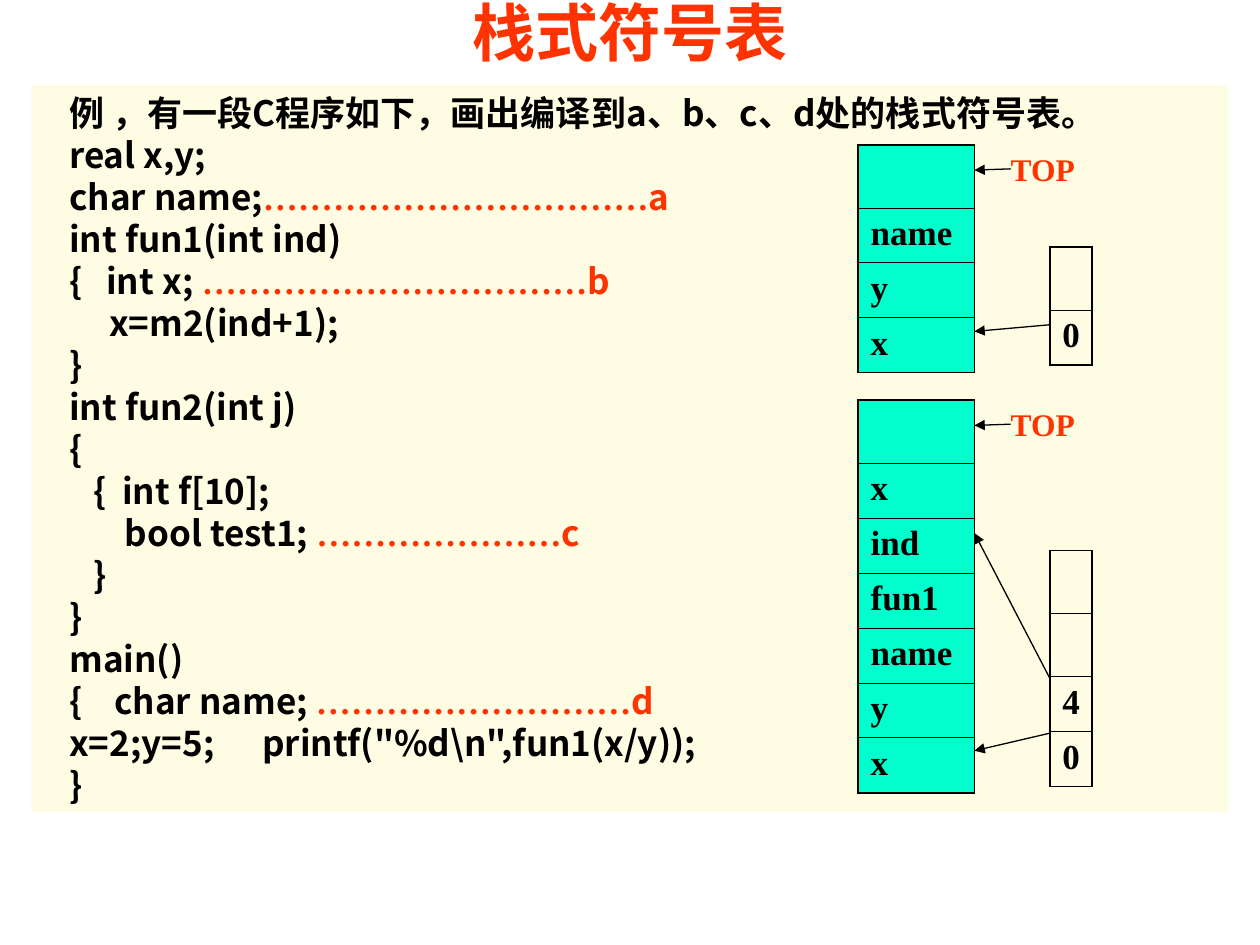
from lxml.etree import SubElement
from pptx import Presentation
from pptx.dml.color import RGBColor
from pptx.enum.shapes import MSO_CONNECTOR, MSO_SHAPE
from pptx.enum.text import MSO_ANCHOR, PP_ALIGN
from pptx.oxml.ns import qn
from pptx.util import Pt

BLACK = RGBColor(0x00, 0x00, 0x00)
RED = RGBColor(0xFF, 0x33, 0x00)
CREAM = RGBColor(0xFE, 0xFD, 0xE3)
TEAL = RGBColor(0x00, 0xFF, 0xCC)
SANS, SERIF = "Noto Sans CJK SC", "Times New Roman"

# Code lines: text, number of ellipses, marker letter
CODE = [
    ("例 ，有一段C程序如下，画出编译到a、b、c、d处的栈式符号表。", 0, ""),
    ("real x,y;", 0, ""),
    ("char name;", 11, "a"),
    ("int fun1(int ind)", 0, ""),
    ("{   int x; ", 11, "b"),
    ("     x=m2(ind+1);", 0, ""),
    ("}", 0, ""),
    ("int fun2(int j)", 0, ""),
    ("{", 0, ""),
    ("   {  int f[10];", 0, ""),
    ("       bool test1; ", 7, "c"),
    ("   } ", 0, ""),
    ("}", 0, ""),
    ("main()", 0, ""),
    ("{    char name; ", 9, "d"),
    ('x=2;y=5;      printf("%d\\n",fun1(x/y));', 0, ""),
    ("}", 0, ""),
]


class Board:
    """Style and current slide; all lengths are in points."""

    EMPTY_ROW, ROW = 36, 31.4
    OUTER, INNER = 1.08, 0.45

    def __init__(self, slide):
        self.s = slide

    def font(self, font, name, size, color):
        font.name, font.size, font.bold = name, Pt(size), True
        font.color.rgb = color

    def east_asian(self, p, name):
        props = p._p.pPr.find(qn("a:defRPr"))
        SubElement(props, qn("a:ea")).set("typeface", name)

    def margins(self, frame, x, y):
        frame.margin_left = frame.margin_right = Pt(x)
        frame.margin_top = frame.margin_bottom = Pt(y)

    def label(self, text, x, y, w, h, name, size, align=PP_ALIGN.LEFT,
              anchor=MSO_ANCHOR.TOP):
        tf = self.s.shapes.add_textbox(Pt(x), Pt(y), Pt(w), Pt(h)).text_frame
        tf.word_wrap, tf.vertical_anchor = True, anchor
        self.margins(tf, 0, 0)
        p = tf.paragraphs[0]
        p.text, p.alignment = text, align
        self.font(p.font, name, size, RED)
        self.east_asian(p, name)

    def code(self, lines, x, y, w, h):
        sp = self.s.shapes.add_shape(MSO_SHAPE.RECTANGLE, Pt(x), Pt(y), Pt(w), Pt(h))
        sp.shadow.inherit = False
        sp.fill.solid()
        sp.fill.fore_color.rgb = CREAM
        sp.line.fill.background()
        tf = sp.text_frame
        tf.word_wrap, tf.vertical_anchor = True, MSO_ANCHOR.TOP
        self.margins(tf, 0, 3.6)
        for i, (text, dots, marker) in enumerate(lines):
            p = tf.paragraphs[0] if i == 0 else tf.add_paragraph()
            p.alignment, p.line_spacing = PP_ALIGN.LEFT, Pt(24)
            self.font(p.font, SANS, 20, BLACK)
            self.east_asian(p, SANS)
            p._p.pPr.set("marL", str(Pt(57.6)))
            p._p.pPr.set("indent", str(Pt(-36)))
            p.add_run().text = text
            if marker:
                for part, name in (("…" * dots, SERIF), (marker, SANS)):
                    r = p.add_run()
                    r.text = part
                    self.font(r.font, name, 20, RED)

    def border(self, cell, side, width):
        ln = SubElement(cell._tc.get_or_add_tcPr(), qn(f"a:ln{side}"), w=str(Pt(width)))
        SubElement(SubElement(ln, qn("a:solidFill")), qn("a:srgbClr"), val=str(BLACK))

    def stack(self, entries, x, y, w, fill):
        heights = [self.ROW if e else self.EMPTY_ROW for e in entries]
        table = self.s.shapes.add_table(
            len(entries), 1, Pt(x), Pt(y), Pt(w), Pt(sum(heights))).table
        table.first_row = table.horz_banding = False
        table.columns[0].width = Pt(w)
        last = len(entries) - 1
        for i, (entry, height) in enumerate(zip(entries, heights)):
            table.rows[i].height = Pt(height)
            cell = table.cell(i, 0)
            self.margins(cell, 7.2, 3.6)
            p = cell.text_frame.paragraphs[0]
            p.text, p.space_before = entry, Pt(5)
            self.font(p.font, SERIF, 20, BLACK)
            # Borders come before the fill in the cell properties
            for side, outer in (("L", True), ("R", True), ("T", i == 0), ("B", i == last)):
                self.border(cell, side, self.OUTER if outer else self.INNER)
            cell.fill.solid()
            cell.fill.fore_color.rgb = fill

    def arrow(self, x1, y1, x2, y2):
        c = self.s.shapes.add_connector(
            MSO_CONNECTOR.STRAIGHT, Pt(x1), Pt(y1), Pt(x2), Pt(y2))
        c.line.color.rgb, c.line.width = BLACK, Pt(0.75)
        SubElement(c.line._get_or_add_ln(), qn("a:tailEnd"), type="triangle")
        SubElement(c._element.spPr, qn("a:effectLst"))

    def top_pointer(self, y):
        self.label("TOP", INDEX_TOP_X, y + 3, 54, 21.6, SERIF, 18)
        self.arrow(INDEX_TOP_X, y + 13.7, STACK_RIGHT, y + 14.4)


# Columns of the diagrams
STACK_X, STACK_W = 490.3, 66.5
STACK_RIGHT = STACK_X + STACK_W
INDEX_X, INDEX_W = 599.8, 24.1
INDEX_TOP_X = 577.5

# Diagrams: symbol stack, its top, block index, its top, arrows (start y, end y)
DIAGRAMS = [
    (["", "name", "y", "x"], 82.8, ["", "0"], 141.1, [(185.6, 189.4)]),
    (["", "x", "ind", "fun1", "name", "y", "x"], 228.7,
     ["", "", "4", "0"], 314.6, [(419, 429), (387.4, 304.6)]),
]


def main():
    prs = Presentation()
    prs.slide_width, prs.slide_height = Pt(720), Pt(540)
    board = Board(prs.slides.add_slide(prs.slide_layouts[6]))

    # Title and program
    board.label("栈式符号表", 54, 0, 612, 36, SANS, 36, PP_ALIGN.CENTER, MSO_ANCHOR.MIDDLE)
    board.code(CODE, 18, 48.75, 684, 415.2)

    # Stacks with their block indexes
    for symbols, stack_y, blocks, index_y, arrows in DIAGRAMS:
        board.stack(symbols, STACK_X, stack_y, STACK_W, TEAL)
        board.stack(blocks, INDEX_X, index_y, INDEX_W, CREAM)
        for start, end in arrows:
            board.arrow(INDEX_X, start, STACK_RIGHT, end)
        board.top_pointer(stack_y)

    prs.save("out.pptx")


if __name__ == "__main__":
    main()
